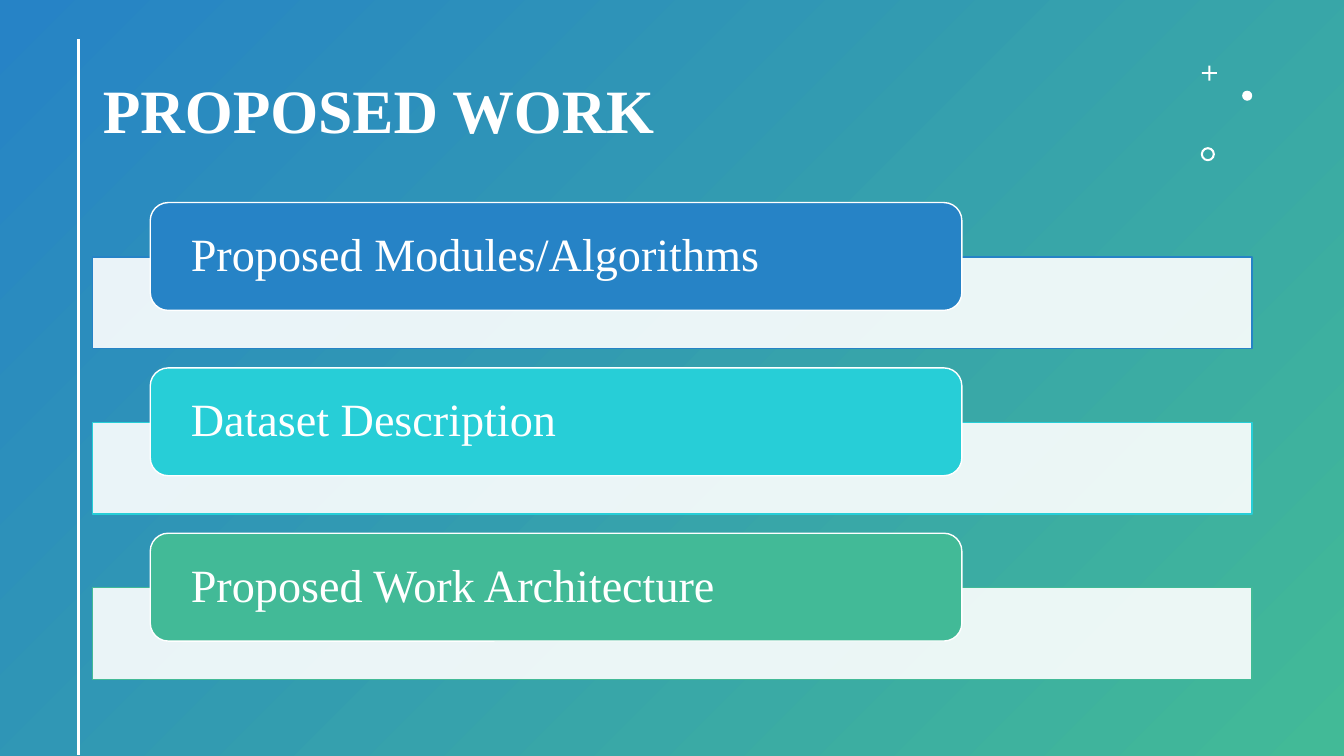
from dataclasses import dataclass

from lxml import etree
from pptx import Presentation
from pptx import util as u
from pptx.dml.color import RGBColor
from pptx.enum import shapes, text
from pptx.oxml.ns import qn

COLOURS = {"blue": "2683C6", "cyan": "27CED7", "green": "42BA97", "white": "FFFFFF"}
FONT = "Times New Roman"
SHAPE = shapes.MSO_SHAPE
FIRST_CARD_TOP, CARD_STEP, BAR_DROP = 2.01, 1.64, 0.54


@dataclass
class Card:
    label: str
    colour: str


@dataclass
class Ornament:
    kind: SHAPE
    left: float
    top: float
    size: float
    adjustment: float | None = None


CARDS = [
    Card("Proposed Modules/Algorithms", "blue"),
    Card("Dataset Description", "cyan"),
    Card("Proposed Work Architecture", "green"),
]
ORNAMENTS = [
    Ornament(SHAPE.CROSS, 11.92, 0.65, 0.15, 0.44),
    Ornament(SHAPE.OVAL, 12.32, 0.9, 0.1),
    Ornament(SHAPE.DONUT, 11.91, 1.46, 0.14, 0.15),
]


def rgb(name: str) -> RGBColor:
    return RGBColor.from_string(COLOURS[name])


def add_box(s, kind, left: float, top: float, width: float, height: float,
            fill: str, line: str | None = None):
    sp = s.shapes.add_shape(kind, *map(u.Inches, (left, top, width, height)))
    sp.shadow.inherit = False
    sp.fill.solid()
    sp.fill.fore_color.rgb = rgb(fill)
    if line:
        sp.line.color.rgb = rgb(line)
        sp.line.width = u.Pt(1)
    else:
        sp.line.fill.background()
    return sp


def write(sp, label: str, inset: float, size: int, bold: bool = False) -> None:
    tf = sp.text_frame
    frame_format = {
        "word_wrap": True,
        "vertical_anchor": text.MSO_ANCHOR.MIDDLE,
        "margin_left": u.Inches(inset),
        "margin_right": u.Inches(inset),
    }
    for name, value in frame_format.items():
        setattr(tf, name, value)
    p = tf.paragraphs[0]
    p.alignment = text.PP_ALIGN.LEFT
    p.line_spacing = 0.9
    r = p.add_run()
    r.text = label
    for name, value in {"name": FONT, "size": u.Pt(size), "bold": bold}.items():
        setattr(r.font, name, value)
    r.font.color.rgb = rgb("white")


def add_background(s, width: float, height: float) -> None:
    """Lay the diagonal gradient behind everything, the title included."""
    sp = add_box(s, SHAPE.RECTANGLE, 0, 0, width, height, "blue")
    sp.fill.gradient()
    sp.fill.gradient_angle = 315
    for stop, colour in zip(sp.fill.gradient_stops, ("blue", "green")):
        stop.color.rgb = rgb(colour)
    s.shapes._spTree.insert(2, sp._element)


def add_title(s) -> None:
    title = s.shapes.title
    place = {"left": 0.92, "top": 0.4, "width": 10.72, "height": 1.45}
    for name, value in place.items():
        setattr(title, name, u.Inches(value))
    write(title, "PROPOSED WORK", 0.1, 44, bold=True)


def add_side_line(s) -> None:
    ends = map(u.Inches, (0.78, 0.39, 0.78, 7.49))
    line = s.shapes.add_connector(shapes.MSO_CONNECTOR.STRAIGHT, *ends)
    line.line.color.rgb = rgb("white")
    line.line.width = u.Pt(2)
    etree.SubElement(line._element.spPr, qn("a:effectLst"))


def add_ornament(s, ornament: Ornament) -> None:
    sp = add_box(s, ornament.kind, ornament.left, ornament.top,
                 ornament.size, ornament.size, "white")
    if ornament.adjustment is not None:
        sp.adjustments[0] = ornament.adjustment


def add_card(s, card: Card, top: float) -> None:
    """Draw a coloured label over its translucent bar."""
    bar = add_box(s, SHAPE.RECTANGLE, 0.92, top + BAR_DROP, 11.5, 0.91,
                  "white", card.colour)
    fill_colour = bar._element.spPr.find(qn("a:solidFill")).find(qn("a:srgbClr"))
    etree.SubElement(fill_colour, qn("a:alpha"), val="90000")
    label = add_box(s, SHAPE.ROUNDED_RECTANGLE, 1.49, top, 8.05, 1.07,
                    card.colour, "white")
    write(label, card.label, 0.35, 33)


def main() -> None:
    prs = Presentation()
    width, height = 13.33, 7.5
    prs.slide_width, prs.slide_height = u.Inches(width), u.Inches(height)
    s = prs.slides.add_slide(prs.slide_layouts[5])
    add_background(s, width, height)
    add_title(s)
    add_side_line(s)
    for ornament in ORNAMENTS:
        add_ornament(s, ornament)
    for row, card in enumerate(CARDS):
        add_card(s, card, FIRST_CARD_TOP + row * CARD_STEP)
    prs.save("out.pptx")


if __name__ == "__main__":
    main()
